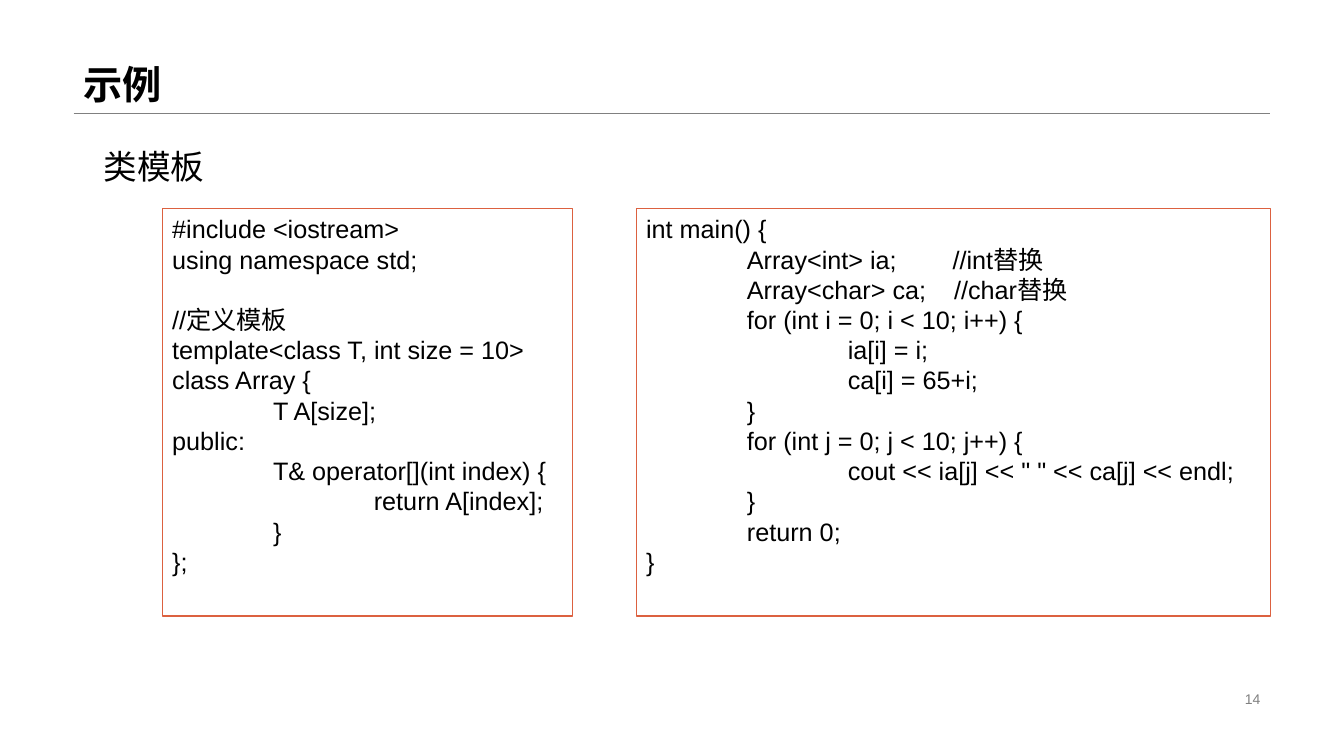
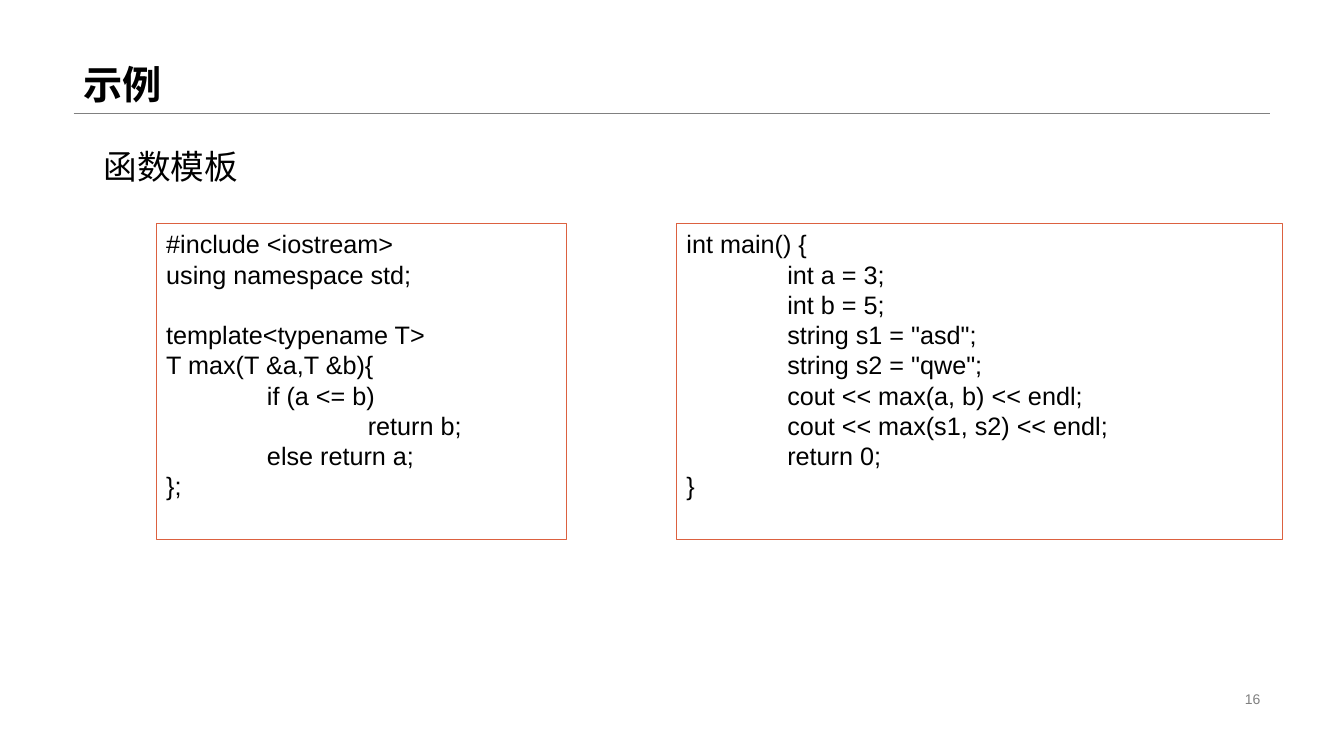
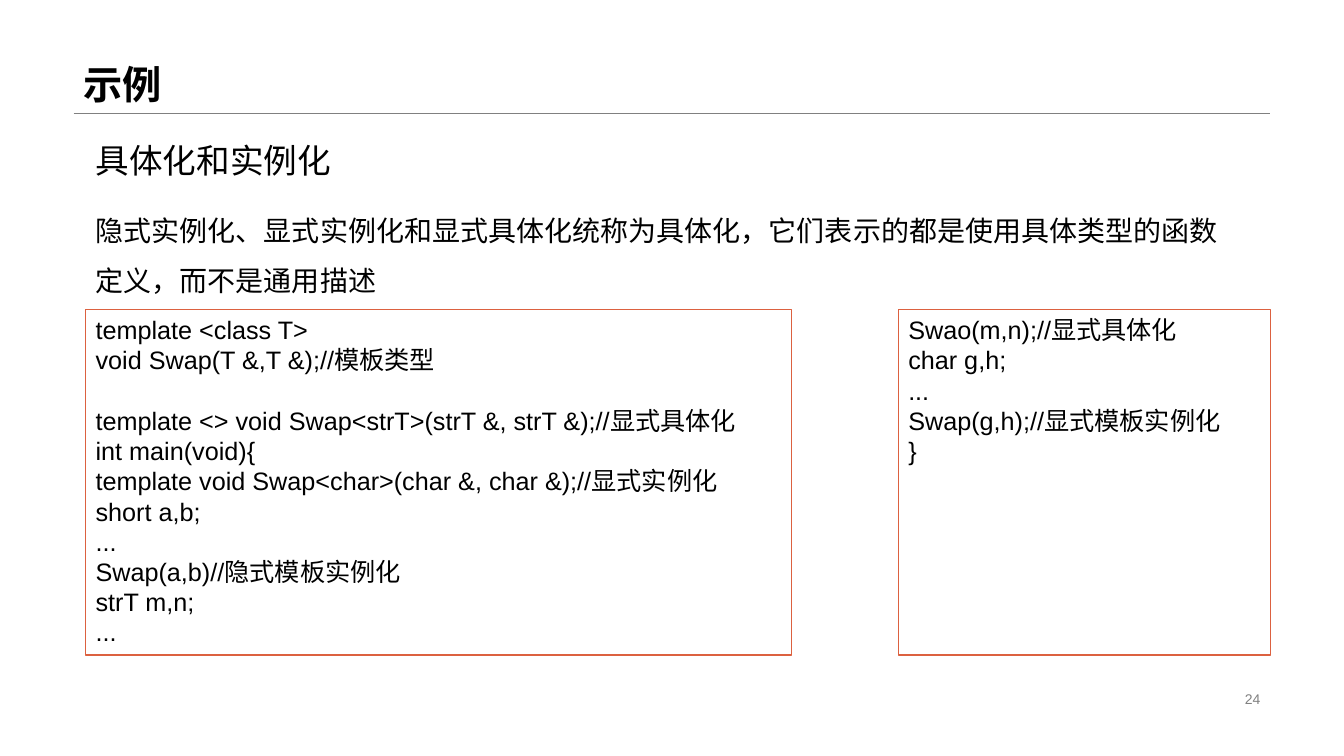
from pptx import Presentation
from pptx.dml.color import RGBColor
from pptx.enum.shapes import MSO_CONNECTOR, MSO_SHAPE
from pptx.enum.text import MSO_ANCHOR, PP_ALIGN
from pptx.oxml.ns import qn
from pptx.util import Inches, Pt
from lxml import etree

# Shared style
LATIN, CJK = "Arial", "Noto Sans CJK SC"
BLACK, GREY, ORANGE = "000000", "808080", "DC6140"
LEFT, RIGHT, RULE_Y = 0.73, 12.6, 1.12
TAB_STOPS = (1, 2)
TITLE = "示例"

# Content: places are (left, top, width, height) in inches,
# panels are (left, width, code lines) sharing one top and height
SLIDES = [
    {
        "number": "14",
        "heading": ("类模板", 0.93, 1.4),
        "panel_rows": (2.07, 4.04),
        "panels": [
            (1.61, 4.07, [
                "#include <iostream>",
                "using namespace std;",
                "",
                "//定义模板",
                "template<class T, int size = 10>",
                "class Array {",
                "\tT A[size];",
                "public:",
                "\tT& operator[](int index) {",
                "\t\treturn A[index];",
                "\t}",
                "};",
            ]),
            (6.31, 6.29, [
                "int main() {",
                "\tArray<int> ia;        //int替换",
                "\tArray<char> ca;    //char替换",
                "\tfor (int i = 0; i < 10; i++) {",
                "\t\tia[i] = i;",
                "\t\tca[i] = 65+i;",
                "\t}",
                "\tfor (int j = 0; j < 10; j++) {",
                '\t\tcout << ia[j] << " " << ca[j] << endl;',
                "\t}",
                "\treturn 0;",
                "}",
            ]),
        ],
    },
    {
        "number": "16",
        "heading": ("函数模板", 0.93, 1.4),
        "panel_rows": (2.22, 3.13),
        "panels": [
            (1.55, 4.07, [
                "#include <iostream>",
                "using namespace std;",
                "",
                "template<typename T>",
                "T max(T &a,T &b){",
                "\tif (a <= b)",
                "\t\treturn b;",
                "\telse return a;",
                "};",
            ]),
            (6.71, 6.01, [
                "int main() {",
                "\tint a = 3;",
                "\tint b = 5;",
                '\tstring s1 = "asd";',
                '\tstring s2 = "qwe";',
                "\tcout << max(a, b) << endl;",
                "\tcout << max(s1, s2) << endl;",
                "\treturn 0;",
                "}",
            ]),
        ],
    },
    {
        "number": "24",
        "heading": ("具体化和实例化", 0.85, 1.34),
        "summary": ("隐式实例化、显式实例化和显式具体化统称为具体化，"
                    "它们表示的都是使用具体类型的函数定义，而不是通用描述",
                    (0.85, 1.9, 11.42, 1.11)),
        "panel_rows": (3.07, 3.43),
        "panels": [
            (0.85, 7, [
                "template <class T>",
                "void Swap(T &,T &);//模板类型",
                "",
                "template <> void Swap<strT>(strT &, strT &);//显式具体化",
                "int main(void){",
                "template void Swap<char>(char &, char &);//显式实例化",
                "short a,b;",
                "...",
                "Swap(a,b)//隐式模板实例化",
                "strT m,n;",
                "...",
            ]),
            (8.91, 3.69, [
                "Swao(m,n);//显式具体化",
                "char g,h;",
                "...",
                "Swap(g,h);//显式模板实例化",
                "}",
            ]),
        ],
    },
]


def color(hex_code):
    return RGBColor.from_string(hex_code)


def write(shape, text, size, ink=BLACK, bold=False, font=LATIN,
          anchor=MSO_ANCHOR.TOP, align=PP_ALIGN.LEFT, spacing=None):
    frame = shape.text_frame
    frame.word_wrap = True
    frame.vertical_anchor = anchor
    frame.text = text
    for paragraph in frame.paragraphs:
        paragraph.alignment = align
        if spacing:
            paragraph.line_spacing = spacing
        for run in paragraph.runs:
            run.font.name = font
            run.font.size = Pt(size)
            run.font.bold = bold
            run.font.color.rgb = color(ink)
            # East Asian typeface follows the latin one
            latin = run.font._element.find(qn("a:latin"))
            east_asian = etree.Element(qn("a:ea"), typeface=CJK)
            latin.addnext(east_asian)


def add_label(slide, place, text, size, **style):
    box = slide.shapes.add_textbox(*map(Inches, place))
    write(box, text, size, **style)


def add_frame(slide, number):
    """Title, rule and page number common to every slide."""
    rule = slide.shapes.add_connector(
        MSO_CONNECTOR.STRAIGHT, Inches(LEFT), Inches(RULE_Y), Inches(RIGHT), Inches(RULE_Y))
    rule.line.color.rgb = color(GREY)
    rule.line.width = Pt(0.25)
    etree.SubElement(rule._element.spPr, qn("a:effectLst"))
    add_label(slide, (LEFT, 0, RIGHT - LEFT, RULE_Y), TITLE, 28, bold=True,
              anchor=MSO_ANCHOR.BOTTOM, spacing=0.9)
    add_label(slide, (9.42, 6.82, RIGHT - 9.42, 0.23), number, 10, ink=GREY,
              anchor=MSO_ANCHOR.MIDDLE, align=PP_ALIGN.RIGHT)


def set_tab_stops(paragraph):
    properties = paragraph._p.get_or_add_pPr()
    stops = etree.SubElement(properties, qn("a:tabLst"))
    for stop in TAB_STOPS:
        etree.SubElement(stops, qn("a:tab"), pos=str(Inches(stop)), algn="l")


def add_code_panel(slide, place, code):
    panel = slide.shapes.add_shape(MSO_SHAPE.RECTANGLE, *map(Inches, place))
    panel.shadow.inherit = False
    panel.fill.background()
    panel.line.color.rgb = color(ORANGE)
    panel.line.width = Pt(1)
    write(panel, "\n".join(code), 18)
    for line in panel.text_frame.paragraphs:
        if "\t" in line.text:
            set_tab_stops(line)


def main():
    deck = Presentation()
    deck.slide_width, deck.slide_height = Inches(13.33), Inches(7.5)
    for content in SLIDES:
        slide = deck.slides.add_slide(deck.slide_layouts[6])
        add_frame(slide, content["number"])

        # Heading and optional summary
        heading, left, top = content["heading"]
        add_label(slide, (left, top, 4.13, 0.5), heading, 24)
        if "summary" in content:
            summary, place = content["summary"]
            add_label(slide, place, summary, 20, font=CJK, spacing=1.5)

        # Code panels side by side
        top, height = content["panel_rows"]
        for left, width, code in content["panels"]:
            add_code_panel(slide, (left, top, width, height), code)
    deck.save("out.pptx")


if __name__ == "__main__":
    main()
